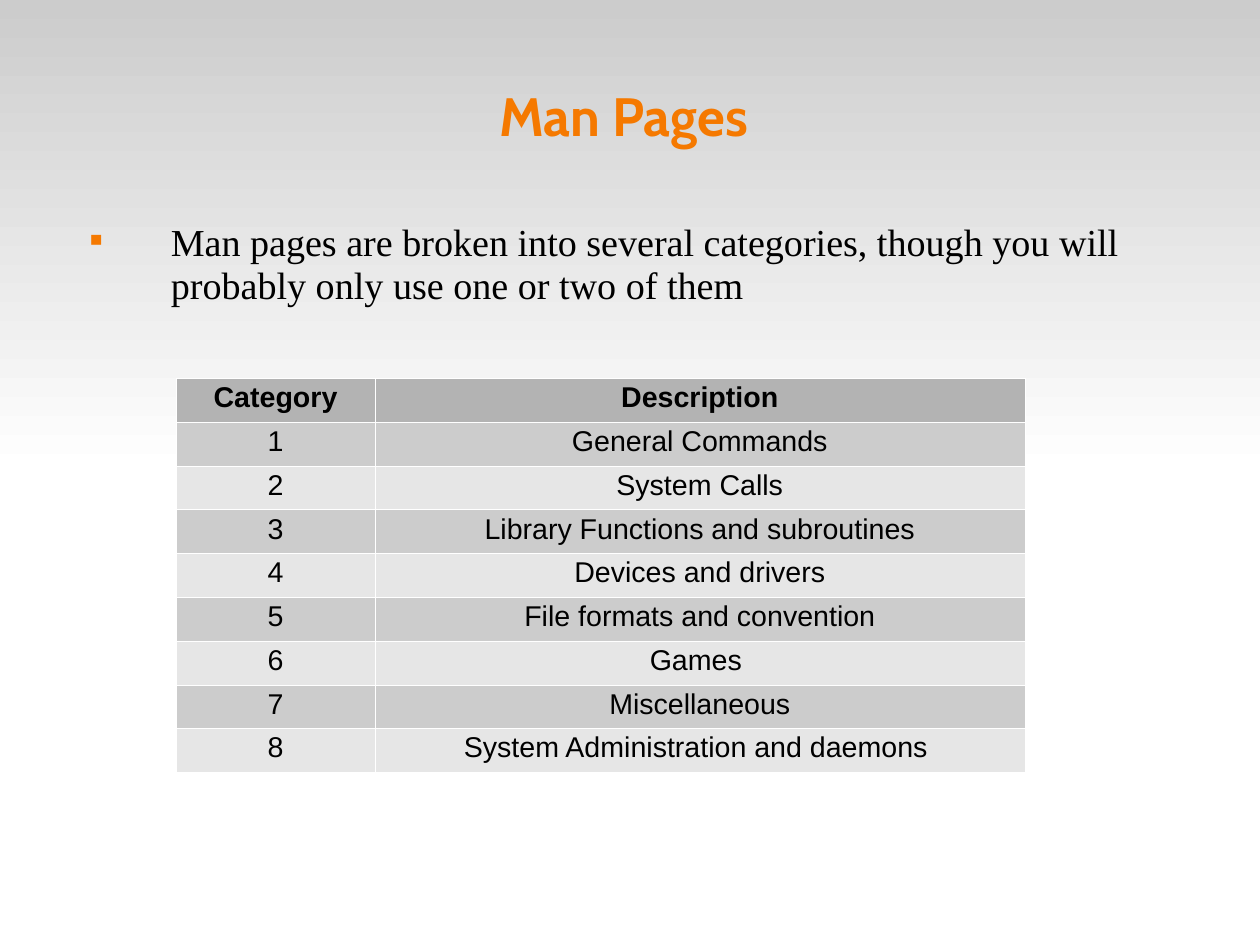
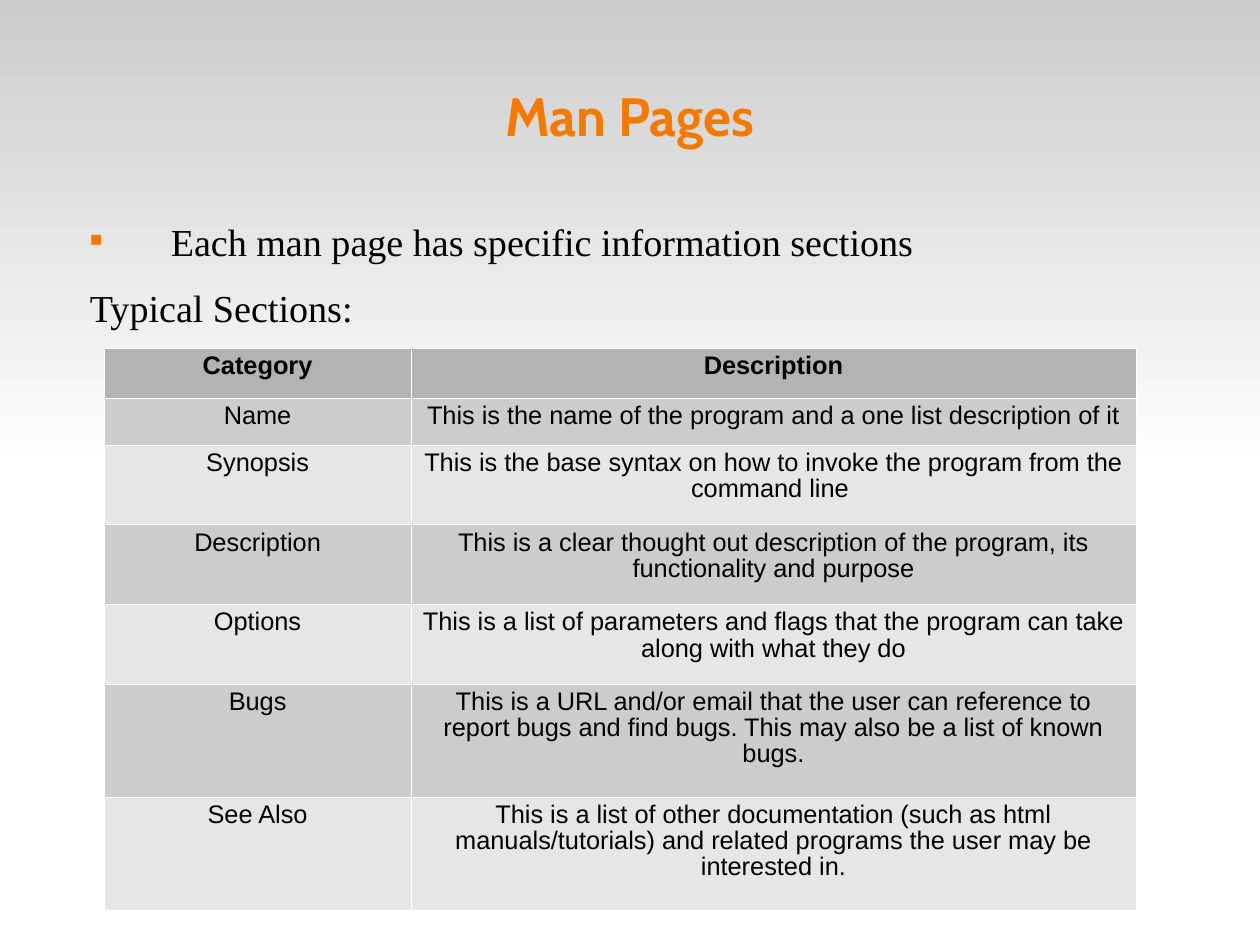
"""Build two slides on the categories and sections of man pages."""
from lxml import etree
from pptx import Presentation
from pptx.dml.color import RGBColor
from pptx.enum.shapes import MSO_SHAPE
from pptx.enum.text import MSO_ANCHOR, PP_ALIGN
from pptx.oxml.ns import qn
from pptx.util import Pt

RECTANGLE = MSO_SHAPE.RECTANGLE
CENTER, LEFT = PP_ALIGN.CENTER, PP_ALIGN.LEFT
TOP, MIDDLE = MSO_ANCHOR.TOP, MSO_ANCHOR.MIDDLE

WIDTH, HEIGHT = 793.75, 595.25
MARGIN, TEXT_WIDTH = 39.6, 714.3
COLORS = {
    "band_top": "CCCCCC",
    "page": "FFFFFF",
    "accent": "F57900",
    "text": "000000",
    "header": "B3B3B3",
    "odd_row": "CCCCCC",
    "even_row": "E6E6E6",
    "border": "FFFFFF",
}
TITLE_STYLE = {"font": "Cabin", "size": 34, "color": "accent", "bold": True,
               "align": CENTER, "spacing": 0.98}
BODY_STYLE = {"font": "Times New Roman", "size": 24, "color": "text", "bold": False,
              "align": LEFT, "spacing": 0.93}
CELL_STYLE = {"font": "Arial", "color": "text", "align": CENTER, "spacing": 0.93}

CATEGORIES = [
    ("Category", "Description"),
    ("1", "General Commands"),
    ("2", "System Calls"),
    ("3", "Library Functions and subroutines"),
    ("4", "Devices and drivers"),
    ("5", "File formats and convention"),
    ("6", "Games "),
    ("7", "Miscellaneous"),
    ("8", "System Administration and daemons "),
]
SECTIONS = [
    ("Category", "Description"),
    ("Name", "This is the name of the program and a one list description of it"),
    ("Synopsis", "This is the base syntax on how to invoke the program from the command line "),
    ("Description", "This is a clear thought out description of the program, "
                    "its functionality and purpose"),
    ("Options", "This is a list of parameters and flags that the program can take "
                "along with what they do"),
    ("Bugs", "This is a URL and/or email that the user can reference to report bugs "
             "and find bugs. This may also be a list of known bugs."),
    ("See Also", "This is a list of other documentation (such as html manuals/tutorials) "
                 "and related programs the user may be interested in."),
]


def rgb(name):
    """Return the named colour."""
    return RGBColor.from_string(COLORS[name])


def style_paragraph(paragraph, font, size, color, bold, align, spacing):
    """Format a paragraph and its runs."""
    paragraph.alignment = align
    paragraph.line_spacing = spacing
    for run in paragraph.runs:
        run.font.name = font
        run.font.size = Pt(size)
        run.font.bold = bold
        run.font.color.rgb = rgb(color)


def add_band(slide):
    """Draw the grey gradient over the upper half of the slide."""
    band = slide.shapes.add_shape(RECTANGLE, 0, 0, Pt(WIDTH), Pt(HEIGHT / 2))
    band.shadow.inherit = False
    band.line.fill.background()
    band.fill.gradient()
    band.fill.gradient_angle = 270
    for stop, name in zip(band.fill.gradient_stops, ("band_top", "page")):
        stop.color.rgb = rgb(name)


def add_text(slide, top, height, inset, anchor, lines, style):
    """Add a text box across the text width and return its paragraphs."""
    frame = slide.shapes.add_textbox(
        Pt(MARGIN), Pt(top), Pt(TEXT_WIDTH), Pt(height)).text_frame
    frame.word_wrap = True
    frame.vertical_anchor = anchor
    frame.margin_left = frame.margin_right = frame.margin_bottom = 0
    frame.margin_top = Pt(inset)
    frame.text = "\n".join(lines)
    for paragraph in frame.paragraphs:
        style_paragraph(paragraph, **style)
    return frame.paragraphs


def add_bullet(properties):
    """Give paragraph properties a small square accent bullet."""
    color = etree.SubElement(properties, qn("a:buClr"))
    etree.SubElement(color, qn("a:srgbClr"), val=COLORS["accent"])
    etree.SubElement(properties, qn("a:buSzPct"), val="45000")
    etree.SubElement(properties, qn("a:buChar"), char="■")


def add_body(slide, lines):
    """Add the body text, with a bullet on its first line."""
    paragraphs = add_text(slide, 139, 393, 1.4, TOP, lines, BODY_STYLE)
    for index, paragraph in enumerate(paragraphs):
        paragraph.space_after = Pt(14.3)
        properties = paragraph._p.get_or_add_pPr()
        properties.set("marL", str(Pt(68)))
        properties.set("indent", str(Pt(-51)))
        if index == 0:
            add_bullet(properties)


def add_borders(cell):
    """Draw a hairline on all four sides of a cell."""
    properties = cell._tc.get_or_add_tcPr()
    for index, side in enumerate(("a:lnL", "a:lnR", "a:lnT", "a:lnB")):
        border = etree.Element(qn(side), w=str(Pt(0.06)))
        fill = etree.SubElement(border, qn("a:solidFill"))
        etree.SubElement(fill, qn("a:srgbClr"), val=COLORS["border"])
        properties.insert(index, border)


def add_grid(slide, left, top, widths, heights, size, rows):
    """Add a table with a header and alternating row fills."""
    table = slide.shapes.add_table(
        len(rows), len(widths), Pt(left), Pt(top), Pt(sum(widths)), Pt(sum(heights))).table
    table.first_row = table.horz_banding = False
    for column, width in zip(table.columns, widths):
        column.width = Pt(width)
    for row_index, (row, height) in enumerate(zip(rows, heights)):
        table.rows[row_index].height = Pt(height)
        is_header = row_index == 0
        fill = "header" if is_header else "odd_row" if row_index % 2 else "even_row"
        for column_index, text in enumerate(row):
            cell = table.cell(row_index, column_index)
            cell.text_frame.text = text
            style_paragraph(cell.text_frame.paragraphs[0], size=size, bold=is_header,
                            **CELL_STYLE)
            cell.fill.solid()
            cell.fill.fore_color.rgb = rgb(fill)
            add_borders(cell)


def add_page(deck, title, body):
    """Add a slide with the shared band, title and body text."""
    slide = deck.slides.add_slide(deck.slide_layouts[6])
    slide.background.fill.solid()
    slide.background.fill.fore_color.rgb = rgb("page")
    add_band(slide)
    add_text(slide, 23.8, 99.4, 0.7, MIDDLE, [title], TITLE_STYLE)
    add_body(slide, body)
    return slide


def main():
    """Build and save the deck."""
    deck = Presentation()
    deck.slide_width, deck.slide_height = Pt(WIDTH), Pt(HEIGHT)

    categories = add_page(deck, "Man Pages ", [
        "Man pages are broken into several categories, though you will "
        "probably only use one or two of them"])
    add_grid(categories, 111, 238.2, [125.2, 409.3], [27.6] * len(CATEGORIES), 18, CATEGORIES)

    sections = add_page(deck, "Man Pages", [
        "Each man page has specific information sections", "Typical Sections:"])
    add_grid(sections, 65.8, 219.2, [193, 457],
             [31.4, 29.6] + [50.2] * 3 + [71.2] * 2, 16, SECTIONS)

    deck.save("out.pptx")


if __name__ == "__main__":
    main()
